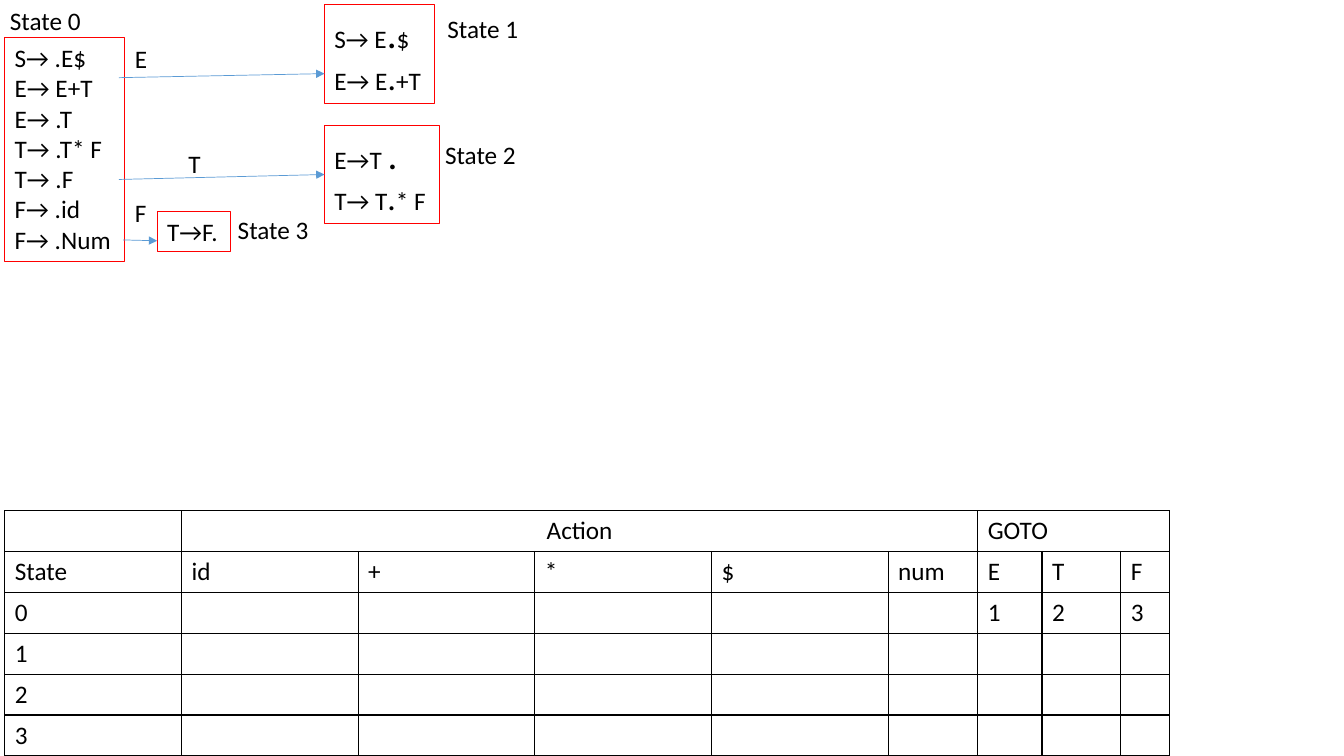
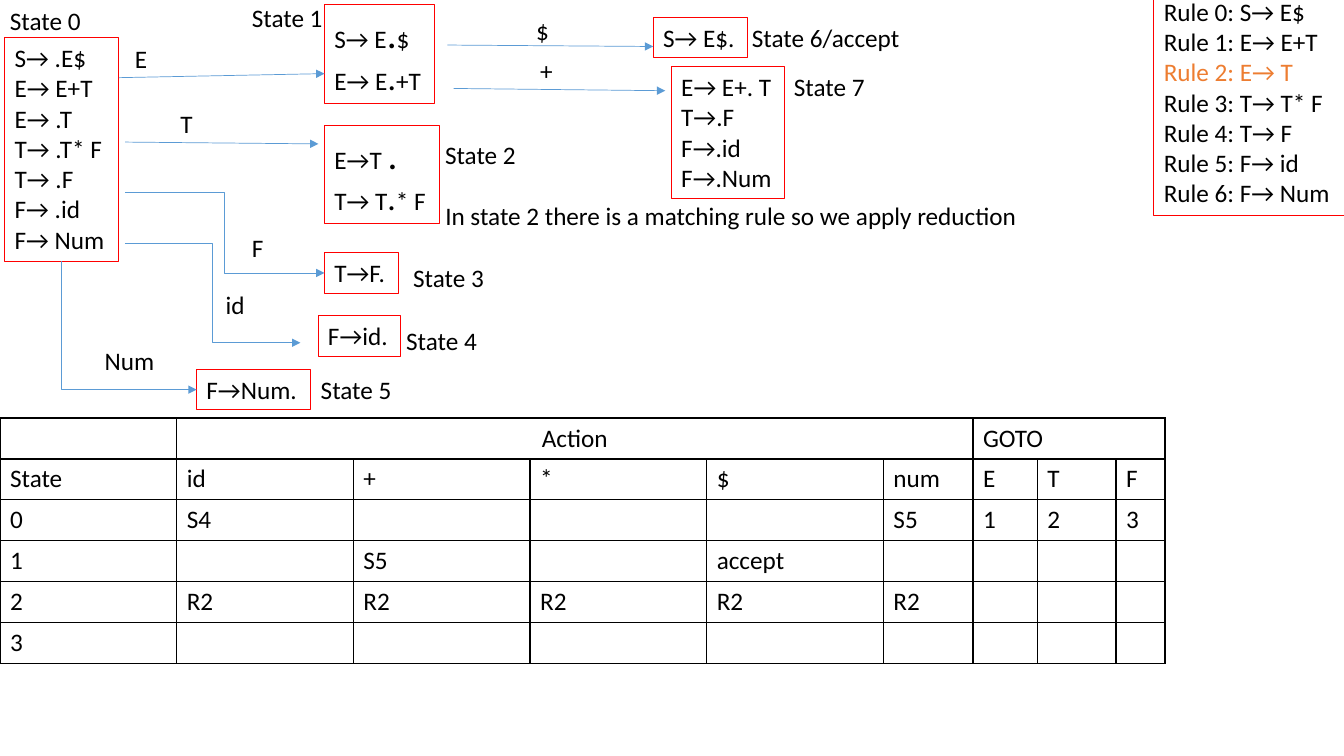
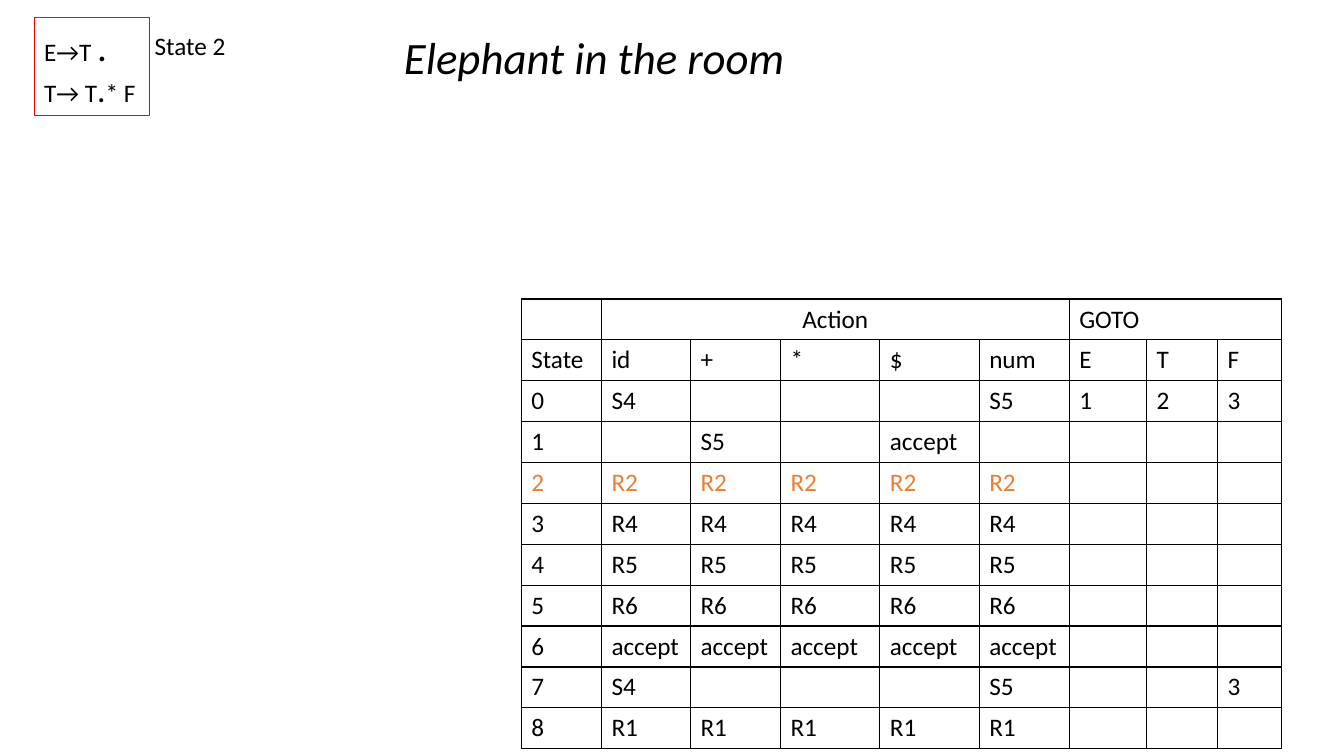
from lxml.etree import SubElement
from pptx import Presentation
from pptx.dml.color import RGBColor
from pptx.enum.shapes import MSO_CONNECTOR
from pptx.enum.text import MSO_AUTO_SIZE, PP_ALIGN
from pptx.oxml.ns import qn
from pptx.util import Pt

BLACK = RGBColor(0x00, 0x00, 0x00)
WHITE = RGBColor(0xFF, 0xFF, 0xFF)
RED = RGBColor(0xFF, 0x00, 0x00)
BLUE = RGBColor(0x5B, 0x9B, 0xD5)
ORANGE = RGBColor(0xED, 0x7D, 0x31)

HEADINGS = ["|Action|||||GOTO||", "State|id|+|*|$|num|E|T|F"]
WIDE_COLUMNS = [126.2] * 5 + [64, 46, 56.2, 35]
NARROW_COLUMNS = [57.3, 63.6, 64.3, 71, 71, 64.3, 55.2, 50.8, 45.7]
START_ITEMS = ["S→ .E$", "E→ E+T", "E→ .T", "T→ .T* F", "T→ .F", "F→ .id"]
RULES = ["S→ E$", "E→ E+T", "E→ T", "T→ T* F", "T→ F", "F→ id", "F→ Num"]


class ParserDeck:
    """Draws parser states, arrows and tables on the current page."""

    font = "Calibri"
    size = 18
    row_height = 29.2

    def __init__(self):
        self.deck = Presentation()
        self.deck.slide_width, self.deck.slide_height = Pt(960), Pt(540)
        self.page = None

    def new_page(self):
        self.page = self.deck.slides.add_slide(self.deck.slide_layouts[6])

    def style(self, para, color=BLACK, size=None, italic=False):
        para.font.name = self.font
        para.font.size = Pt(size or self.size)
        para.font.color.rgb = color
        para.font.italic = italic

    def label(self, left, top, text, width=85, height=29, wrap=True, size=None, italic=False):
        return self.text(left, top, width, height, [text], wrap, size=size, italic=italic)

    def symbol(self, left, top, text, width=23):
        return self.label(left, top, text, width, wrap=False)

    def text(self, left, top, width, height, lines, wrap=False, accent=None, **look):
        box = self.page.shapes.add_textbox(Pt(left), Pt(top), Pt(width), Pt(height))
        frame = box.text_frame
        frame.word_wrap = wrap
        frame.auto_size = MSO_AUTO_SIZE.SHAPE_TO_FIT_TEXT
        for index, line in enumerate(lines):
            para = frame.paragraphs[0] if index == 0 else frame.add_paragraph()
            self.style(para, ORANGE if index == accent else BLACK, **look)
            for part in [line] if isinstance(line, str) else line:
                span = para.add_run()
                if isinstance(part, str):
                    span.text = part
                else:
                    span.text, points = part
                    span.font.size = Pt(points)
        return box

    def state(self, left, top, width, height, lines, accent=None):
        box = self.text(left, top, width, height, lines, accent=accent)
        box.fill.solid()
        box.fill.fore_color.rgb = WHITE
        box.line.color.rgb = RED
        box.line.width = Pt(0.75)
        return box

    def arrow(self, begin, end, kind=MSO_CONNECTOR.STRAIGHT, target=None):
        points = [Pt(value) for value in (*begin, *end)]
        arrow = self.page.shapes.add_connector(kind, *points)
        arrow.line.color.rgb = BLUE
        arrow.line.width = Pt(0.5)
        SubElement(arrow.line._get_or_add_ln(), qn("a:tailEnd"), type="triangle")
        SubElement(arrow._element.spPr, qn("a:effectLst"))
        if target is not None:
            arrow.end_connect(target, 1)
        return arrow

    def corner_arrow(self, source, target):
        begin = (source.left + source.width // 2, source.top + source.height)
        end = (target.left, target.top + target.height // 2)
        across, down = end[0] - begin[0], end[1] - begin[1]
        arrow = self.arrow((0, 0), (1, 1), MSO_CONNECTOR.ELBOW, target)
        arrow.begin_connect(source, 2)
        frame = arrow._element.spPr.find(qn("a:xfrm"))
        for flip in ("flipH", "flipV"):
            frame.attrib.pop(flip, None)
        frame.set("rot", "16200000")
        frame.set("flipH", "1")
        arrow._element.spPr.find(qn("a:prstGeom")).set("prst", "bentConnector2")
        arrow.left = begin[0] + (across - down) // 2
        arrow.top = begin[1] + (down - across) // 2
        arrow.width, arrow.height = down, across

    def border(self, cell):
        properties = cell._tc.get_or_add_tcPr()
        for side in ("a:lnL", "a:lnR", "a:lnT", "a:lnB"):
            line = SubElement(properties, qn(side), w=str(Pt(1)))
            fill = SubElement(line, qn("a:solidFill"))
            SubElement(fill, qn("a:srgbClr"), val=str(BLACK))

    def table(self, left, top, widths, body, accent=None):
        rows = [row.split("|") for row in HEADINGS + body]
        frame = self.page.shapes.add_table(
            len(rows), len(widths), Pt(left), Pt(top),
            Pt(sum(widths)), Pt(self.row_height * len(rows)))
        table = frame.table
        table.first_row = table.horz_banding = False
        for column, width in zip(table.columns, widths):
            column.width = Pt(width)
        for index, values in enumerate(rows):
            table.rows[index].height = Pt(self.row_height)
            for cell, value in zip(table.rows[index].cells, values):
                cell.text = value
                self.style(cell.text_frame.paragraphs[0],
                           ORANGE if values[0] == accent else BLACK)
                self.border(cell)
                cell.fill.background()
        table.cell(0, 1).merge(table.cell(0, 5))
        table.cell(0, 6).merge(table.cell(0, 8))
        table.cell(0, 1).text_frame.paragraphs[0].alignment = PP_ALIGN.CENTER


def add_state_two(deck, left, top):
    box = deck.state(left, top, 82.3, 70.5,
                     [("E→T ", (".", 28)), ("T→ T", (".", 24), "* F")])
    deck.label(left + 79, top + 6.2, "State 2")
    return box


def add_first_states(deck, start_width, last_item, state_one_label):
    start = deck.state(3.4, 26.8, start_width, 160, START_ITEMS + [last_item])
    deck.label(0, 0, "State 0")
    deck.state(231.8, 3.4, 78.6, 70.5,
               [("S→ E", (".", 28), "$"), ("E→ E", (".", 24), "+T")])
    deck.label(*state_one_label, "State 1")
    deck.arrow((85, 55.5), (231.8, 52.6))
    deck.symbol(89.3, 27.5, "E")
    return start, add_state_two(deck, 231.8, 89.4)


def reduce_row(state, action):
    return "|".join([state] + [action] * 5 + [""] * 3)


def build_first_page(deck):
    deck.new_page()
    state_two = add_first_states(deck, 85.3, "F→ .Num", (312.5, 5.8))[1]
    deck.arrow((85, 128.2), (231.8, 124.6), target=state_two)
    deck.symbol(127.5, 102.2, "T")
    deck.state(112.3, 151, 52.6, 29, ["T→F."])
    deck.arrow((88, 171.4), (112.3, 172))
    deck.symbol(89.3, 137.5, "F")
    deck.label(162.7, 149.8, "State 3")
    deck.table(3.4, 364.8, WIDE_COLUMNS,
               ["0||||||1|2|3"] + [reduce_row(state, "") for state in "123"])


def build_second_page(deck):
    deck.new_page()
    start = add_first_states(deck, 81.4, "F→ Num", (172.8, -1.6))[0]
    deck.arrow((89.3, 101.5), (227.5, 102.8))
    deck.symbol(121.7, 73.6, "T")

    state_three = deck.state(231.8, 180.5, 52.6, 29, ["T→F."])
    deck.arrow((89.3, 137.5), (231.8, 195), MSO_CONNECTOR.ELBOW, state_three)
    deck.symbol(172.8, 162.3, "F")
    deck.label(288, 183.8, "State 3")

    deck.state(227.2, 225.4, 59, 29, ["F→id."])
    deck.arrow((89.3, 173.8), (214.6, 244.8), MSO_CONNECTOR.ELBOW)
    deck.symbol(154.1, 203, "id", 28)
    deck.label(283, 228.6, "State 4")

    state_five = deck.state(140.4, 263.8, 81.4, 29, ["F→Num."])
    deck.corner_arrow(start, state_five)
    deck.label(67.7, 243.4, "Num", 54)
    deck.label(222, 263.8, "State 5")

    deck.state(466.6, 12.4, 67.7, 29, ["S→ E$."])
    deck.arrow((319.5, 32.2), (466.6, 33.2))
    deck.symbol(375.8, 7.2, "$")
    deck.label(530, 12.4, "State 6/accept", 193.7)

    deck.state(479.5, 47.5, 80.6, 94.4, ["E→ E+. T", "T→.F", "F→.id", "F→.Num"])
    deck.arrow((324, 63.2), (475.2, 64.8))
    deck.symbol(378.7, 36, "+")
    deck.label(560, 47.5, "State 7")

    deck.symbol(311, 139.8, "In state 2 there is a matching rule so we apply reduction", 427.7)
    deck.state(824.2, -6.3, 136, 160,
               [f"Rule {number}: {rule}" for number, rule in enumerate(RULES)], accent=2)
    deck.table(0, 298.6, WIDE_COLUMNS,
               ["0|S4||||S5|1|2|3", "1||S5||accept||||",
                reduce_row("2", "R2"), reduce_row("3", "")])


def build_third_page(deck):
    deck.new_page()
    deck.table(372.3, 213.6, NARROW_COLUMNS,
               ["0|S4||||S5|1|2|3", "1||S5||accept||||",
                reduce_row("2", "R2"), reduce_row("3", "R4"),
                reduce_row("4", "R5"), reduce_row("5", "R6"),
                reduce_row("6", "accept"), "7|S4||||S5|||3",
                reduce_row("8", "R1")], accent="2")
    add_state_two(deck, 24.4, 12.2)
    deck.label(281.5, 18, "Elephant in the room", 292.3, 46, True, 32, True)


def main():
    deck = ParserDeck()
    build_first_page(deck)
    build_second_page(deck)
    build_third_page(deck)
    deck.deck.save("out.pptx")


if __name__ == "__main__":
    main()
